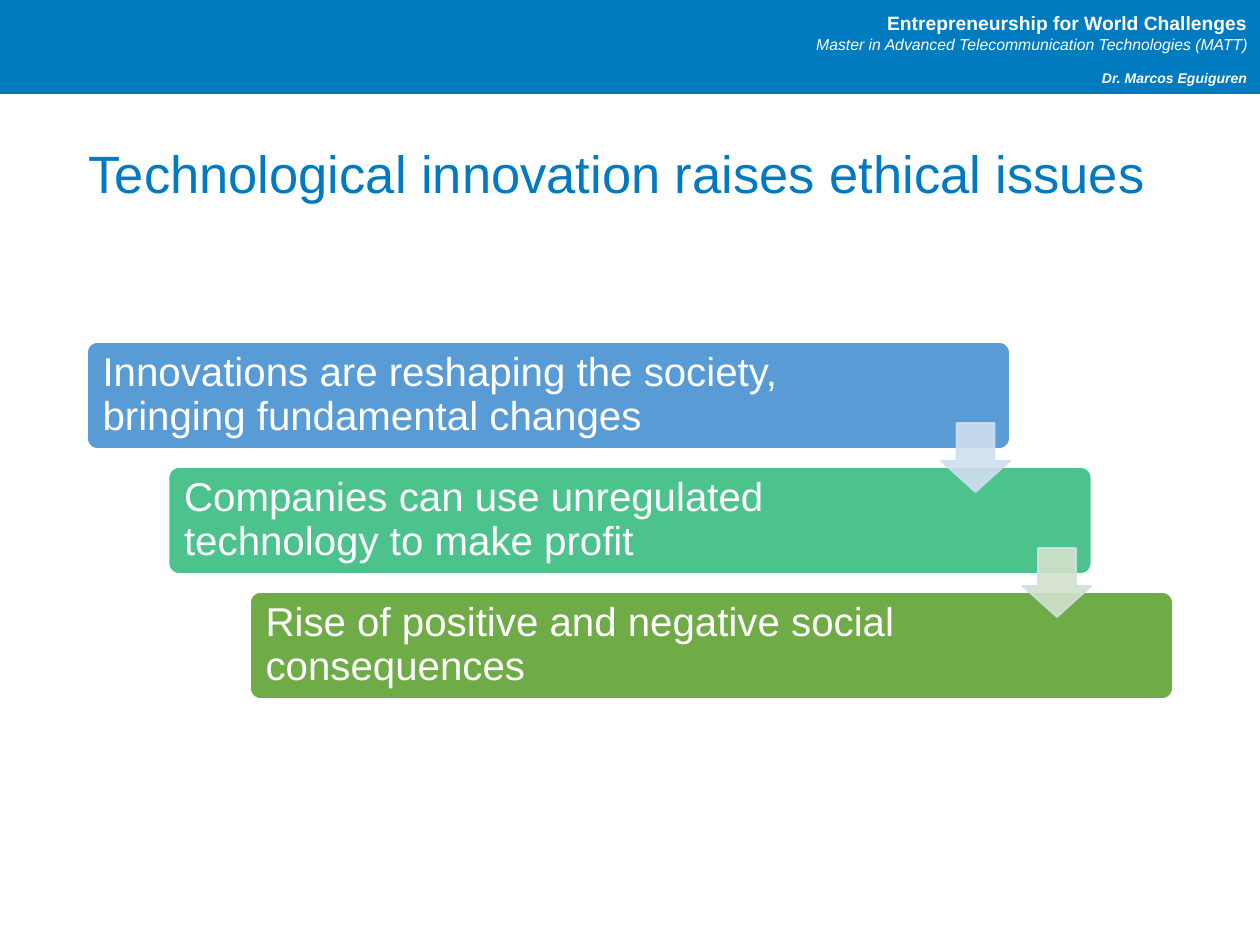
"""Build a slide with a header band, a title and three descending steps."""
from lxml import etree
from pptx import Presentation, util as u
from pptx.dml.color import RGBColor
from pptx.enum import shapes, text
from pptx.oxml.ns import qn

PX = 914400 // 126
FONT = "Arial"
COLORS = {"band": "007BC0", "title": "017AC1", "white": "FFFFFF", "edge": "CFDEEF"}
HEADER = [
    ((320, 5, 940, 93), [
        ("Entrepreneurship for World Challenges", 11, True, False),
        ("Master in Advanced Telecommunication Technologies (MATT)", 9, False, True)]),
    ((488, 63, 772, 30), [("Dr. Marcos Eguiguren", 8, True, True)]),
]
TITLE = "Technological innovation raises ethical issues"
STEPS = [
    ("Innovations are reshaping the society, bringing fundamental changes", "599BD5", 808),
    ("Companies can use unregulated technology to make profit", "4CC38C", 766),
    ("Rise of positive and negative social consequences", "6FAB46", 766),
]
ARROWS = ["CFDEEF", "D3E1CC"]
STEP_LEFT, STEP_TOP, STEP_WIDTH, STEP_HEIGHT = 87, 342, 923, 107
SHIFT_X, SHIFT_Y = 81.5, 125
ARROW_LEFT, ARROW_TOP, ARROW_SIZE = 941, 423, 69
ARROW_ALPHA = 90


def emu(*lengths):
    return [u.Emu(round(length * PX)) for length in lengths]


def paint(color_format, color, alpha=None):
    color_format.fore_color.rgb = RGBColor.from_string(color)
    if alpha is not None:
        value = color_format._xPr.find(".//" + qn("a:srgbClr"))
        etree.SubElement(value, qn("a:alpha")).set("val", str(alpha * 1000))


def add_block(page, kind, place, fill, line=None, alpha=None, adjust=()):
    block = page.shapes.add_shape(kind, *emu(*place))
    block.shadow.inherit = False
    block.fill.solid()
    paint(block.fill, fill, alpha)
    if line:
        block.line.width = u.Pt(1)
        block.line.fill.solid()
        paint(block.line.fill, line, alpha)
    else:
        block.line.fill.background()
    for index, value in enumerate(adjust):
        block.adjustments[index] = value


def add_text(page, place, lines, color, align, anchor, spacing=None, inset=6.3):
    box = page.shapes.add_textbox(*emu(*place))
    frame = box.text_frame
    frame.word_wrap = True
    frame.vertical_anchor = anchor
    frame.margin_top, frame.margin_bottom = emu(inset, inset)
    frame.margin_left, frame.margin_right = emu(12.6, 12.6)
    for index, (words, size, bold, italic) in enumerate(lines):
        para = frame.add_paragraph() if index else frame.paragraphs[0]
        para.alignment = align
        if spacing:
            para.line_spacing = spacing
        span = para.add_run()
        span.text = words
        span.font.name = FONT
        span.font.size = u.Pt(size)
        span.font.bold, span.font.italic = bold, italic
        span.font.color.rgb = RGBColor.from_string(color)


def main():
    deck = Presentation()
    deck.slide_width, deck.slide_height = emu(1260, 945)
    page = deck.slides.add_slide(deck.slide_layouts[6])
    kinds, align, anchor = shapes.MSO_SHAPE, text.PP_ALIGN, text.MSO_ANCHOR

    add_block(page, kinds.RECTANGLE, (0, 0, 1260, 94), COLORS["band"])
    for place, lines in HEADER:
        add_text(page, place, lines, COLORS["white"], align.RIGHT, anchor.TOP)
    add_text(page, (74, 140, 1086, 74), [(TITLE, 30, False, False)],
             COLORS["title"], align.CENTER, anchor.MIDDLE, 0.9)

    for index, (words, fill, width) in enumerate(STEPS):
        left, top = STEP_LEFT + index * SHIFT_X, STEP_TOP + index * SHIFT_Y
        add_block(page, kinds.ROUNDED_RECTANGLE, (left, top, STEP_WIDTH, STEP_HEIGHT),
                  fill, COLORS["white"], adjust=(0.1,))
        add_text(page, (left + 3, top + 3, width, STEP_HEIGHT - 6),
                 [(words, 23, False, False)], COLORS["white"],
                 align.LEFT, anchor.MIDDLE, 0.9, 12.6)
    for index, fill in enumerate(ARROWS):
        place = (ARROW_LEFT + index * SHIFT_X, ARROW_TOP + index * SHIFT_Y,
                 ARROW_SIZE, ARROW_SIZE)
        add_block(page, kinds.DOWN_ARROW, place, fill, COLORS["edge"],
                  ARROW_ALPHA, (0.55, 0.45))
    deck.save("out.pptx")


if __name__ == "__main__":
    main()
